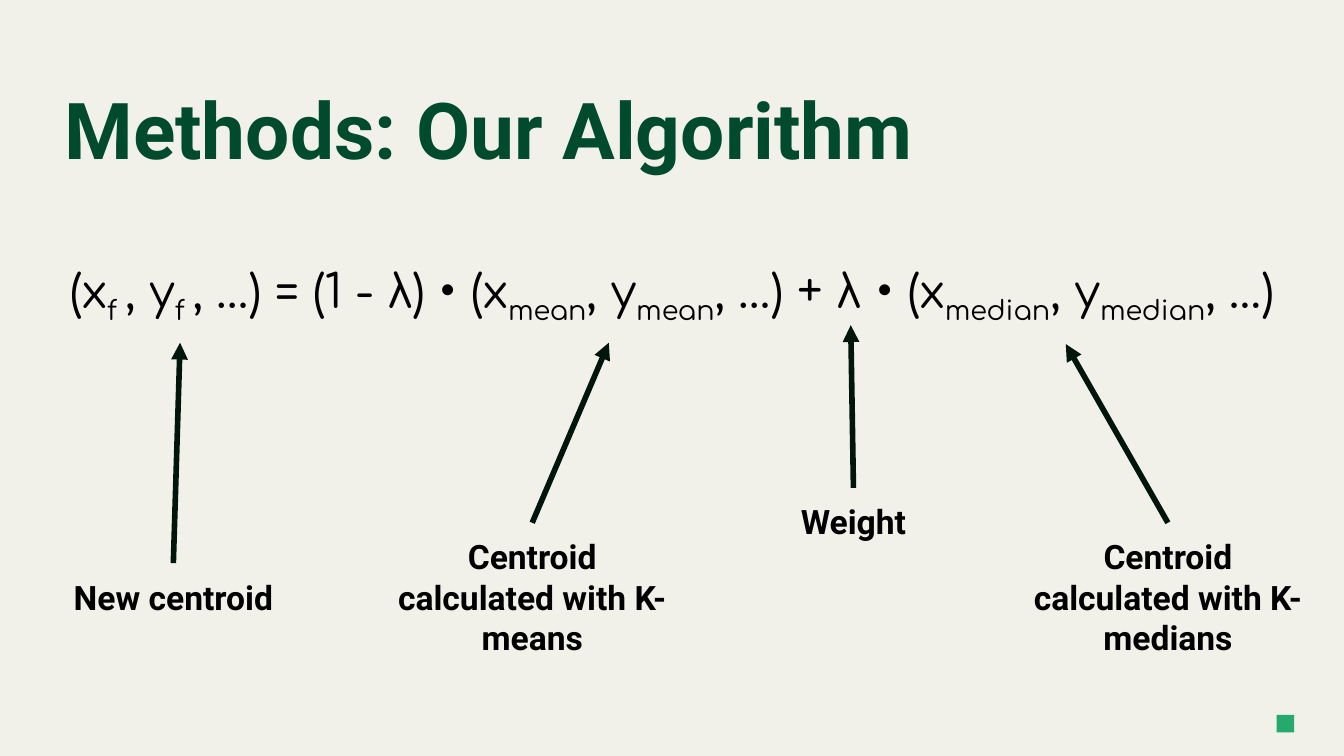
from lxml.etree import SubElement
from pptx import Presentation
from pptx.dml.color import RGBColor
from pptx.enum.shapes import MSO_CONNECTOR as Link, MSO_SHAPE as Form
from pptx.enum.text import MSO_ANCHOR as Anchor, MSO_AUTO_SIZE as Fit, PP_ALIGN as Align
from pptx.oxml.ns import qn
from pptx.util import Inches, Pt


def paint(color):
    return RGBColor.from_string(color)


def write(shape, text, size=18, font="Roboto", color="000000", bold=False,
          align=Align.CENTER):
    """Fill a shape with one paragraph; text between underscores is subscript."""
    frame = shape.text_frame
    frame.word_wrap = True
    frame.auto_size = Fit.NONE
    frame.vertical_anchor = Anchor.TOP
    frame.margin_left = frame.margin_right = Inches(0.1)
    frame.margin_top = frame.margin_bottom = Inches(0.1)
    para = frame.paragraphs[0]
    para.alignment = align
    para.space_before = Pt(0)
    for i, part in enumerate(text.split("_")):
        run = para.add_run()
        run.text = part
        run.font.name = font
        run.font.size = Pt(size)
        run.font.bold = bold
        run.font.color.rgb = paint(color)
        if i % 2:
            run.font._element.set("baseline", "-25000")


class Deck:
    back, head, accent, ink = "F1F1E9", "004A2E", "26A96C", "00160D"

    def __init__(self, wide):
        """Set up a 16:9 deck of the given width in inches."""
        self.file = Presentation()
        self.file.slide_width = Inches(wide)
        self.file.slide_height = Inches(wide * 9 / 16)

    def start(self):
        self.slide = self.file.slides.add_slide(self.file.slide_layouts[0])
        fill = self.slide.background.fill
        fill.solid()
        fill.fore_color.rgb = paint(self.back)

    def holder(self, index, box, text, **style):
        shape = self.slide.placeholders[index]
        shape.left, shape.top, shape.width, shape.height = map(Inches, box)
        write(shape, text, **style)

    def square(self, x, y, side):
        shape = self.slide.shapes.add_shape(
            Form.RECTANGLE, *map(Inches, (x, y, side, side)))
        shape.shadow.inherit = False
        shape.fill.solid()
        shape.fill.fore_color.rgb = paint(self.accent)
        shape.line.fill.background()

    def arrow(self, start, end):
        line = self.slide.shapes.add_connector(
            Link.STRAIGHT, *map(Inches, start + end))
        line.line.width = Pt(3)
        line.line.color.rgb = paint(self.ink)
        SubElement(line.line._get_or_add_ln(), qn("a:tailEnd"), type="triangle")
        SubElement(line._element.spPr, qn("a:effectLst"))

    def label(self, text, start, end, wide=2.25, high=0.5):
        """Put a text centred under the start of an arrow."""
        x, y = start
        box = self.slide.shapes.add_textbox(
            *map(Inches, (x - wide / 2, y, wide, high)))
        write(box, text, bold=True)
        self.arrow(start, end)


def main():
    deck = Deck(10)
    deck.start()
    deck.square(9.5, 5.32, 0.13)
    deck.holder(0, (0.38, 0.5, 7.09, 0.86), "Methods: Our Algorithm",
                size=42, color=deck.head, bold=True, align=Align.LEFT)
    deck.holder(1, (0.19, 1.85, 9.62, 0.81),
                "(x_f _, y_f _, …) = (1 - λ) • (x_mean_, y_mean_, …)"
                " + λ • (x_median_, y_median_, …)",
                size=25, font="Comfortaa")
    deck.label("New centroid", (1.29, 4.19), (1.34, 2.55), wide=1.82)
    deck.label("Centroid calculated with K-means",
               (3.96, 3.89), (4.53, 2.55), high=1.11)
    deck.label("Weight", (6.35, 3.63), (6.33, 2.42))
    deck.label("Centroid calculated with K-medians",
               (8.69, 3.89), (7.93, 2.56), high=1.11)
    deck.file.save("out.pptx")


if __name__ == "__main__":
    main()
